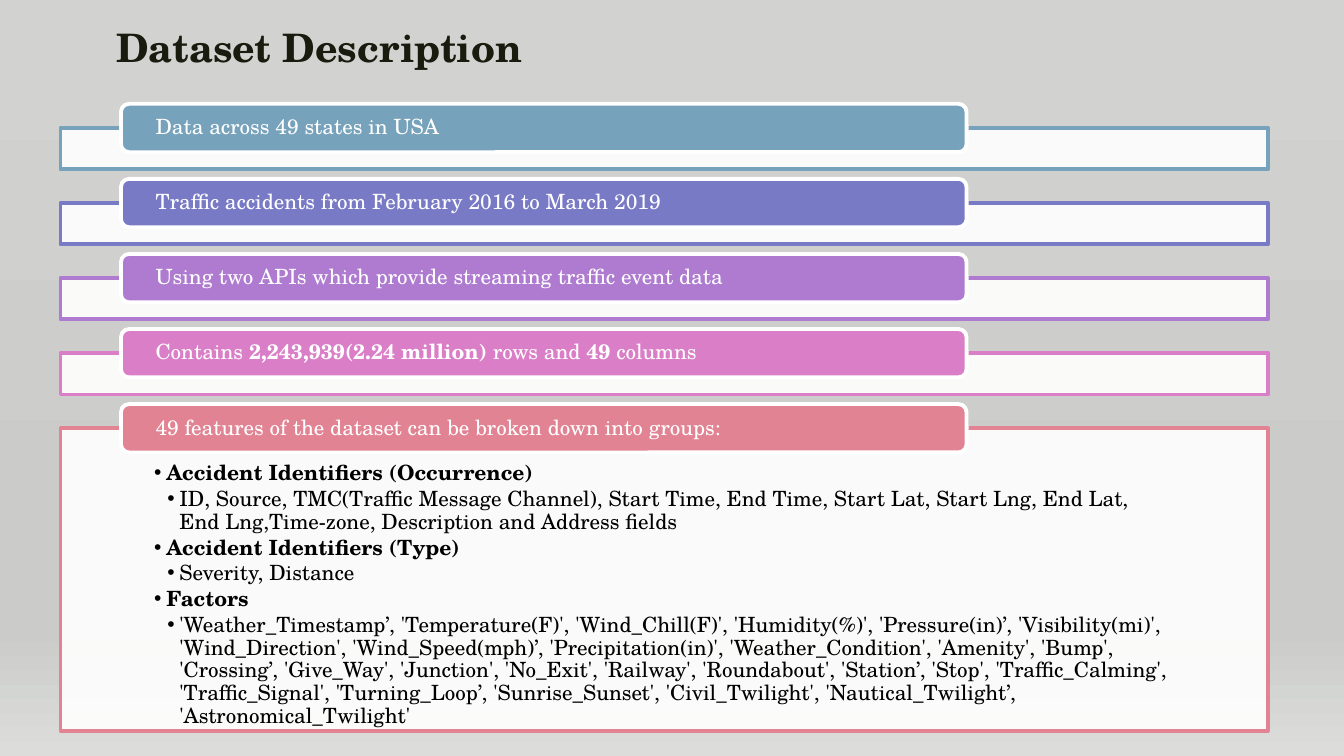
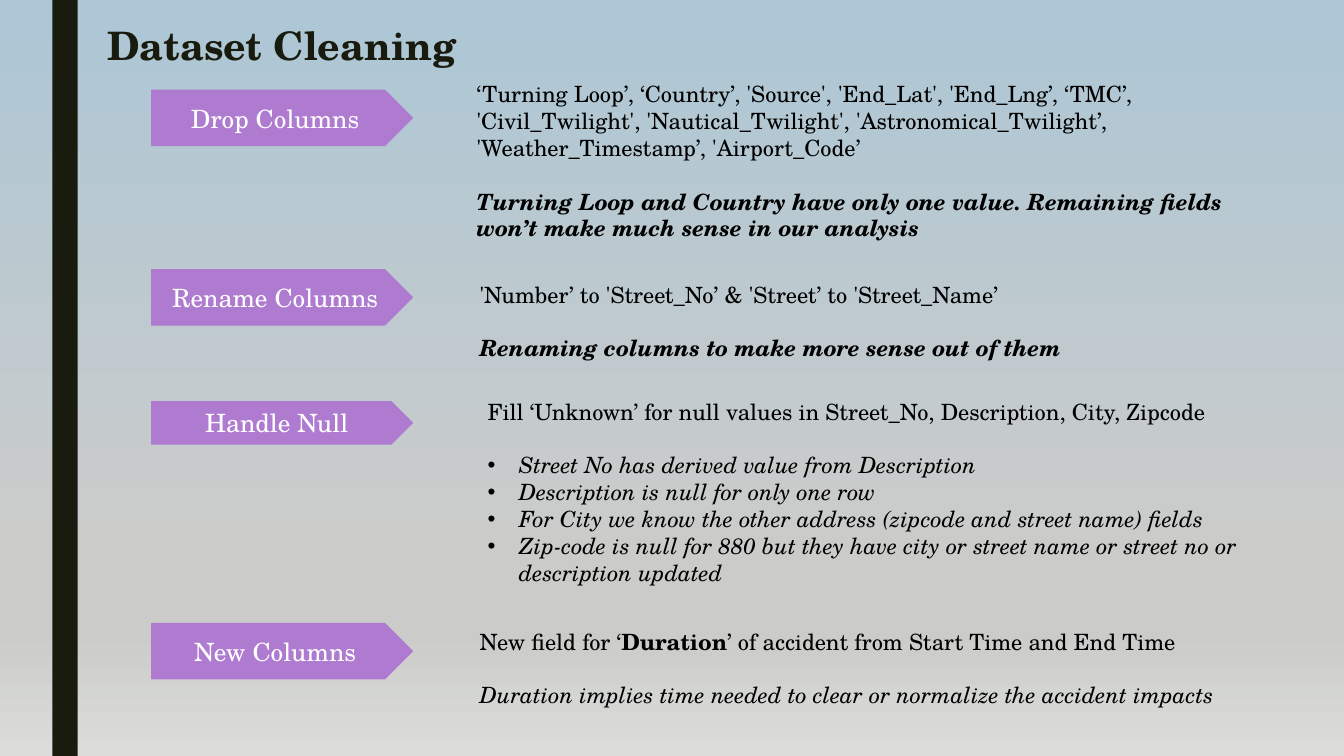
"""Build the two dataset slides: description and cleaning."""
from lxml import etree
from pptx import Presentation
from pptx import util as u
from pptx.dml.color import RGBColor
from pptx.enum import shapes, text
from pptx.oxml.ns import qn

rgb = RGBColor.from_string
FONT = "TeX Gyre Schola"
DARK, WHITE, BLACK, VIOLET = "191B0E", "FFFFFF", "000000", "AE7BD0"
LEFT, CENTER = text.PP_ALIGN.LEFT, text.PP_ALIGN.CENTER
TOP, MIDDLE = text.MSO_ANCHOR.TOP, text.MSO_ANCHOR.MIDDLE
KIND = shapes.MSO_SHAPE

deck = Presentation()
deck.slide_width, deck.slide_height = u.Inches(40 / 3), u.Inches(7.5)
column, row = deck.slide_width / 100, deck.slide_height / 100


def add_box(page, kind, area, fill, line=None):
    """Add a flat preset shape; area is in hundredths of the slide."""
    x, y, width, height = area
    box = page.shapes.add_shape(kind, int(x * column), int(y * row),
                                int(width * column), int(height * row))
    box.shadow.inherit = False
    box.fill.solid()
    box.fill.fore_color.rgb = rgb(fill)
    if line:
        box.line.color.rgb = rgb(line)
        box.line.width = u.Pt(2.75)
    else:
        box.line.fill.background()
    return box


def write(frame, paras, size, color, align=LEFT, anchor=TOP, insets=None):
    """Fill a frame with (spans, layout) paragraphs; a span is (words, style)."""
    settings = {"word_wrap": True, "vertical_anchor": anchor, "auto_size": text.MSO_AUTO_SIZE.NONE}
    if insets:
        sides = ("margin_left", "margin_top", "margin_right", "margin_bottom")
        settings.update(zip(sides, map(u.Inches, insets)))
    for name, value in settings.items():
        setattr(frame, name, value)
    for index, (spans, layout) in enumerate(paras):
        para = frame.add_paragraph() if index else frame.paragraphs[0]
        para.alignment = align
        layout = dict(layout)
        indent = layout.pop("bullet", None)
        if indent:
            margin, hang = indent
            properties = para._p.get_or_add_pPr()
            properties.set("marL", str(u.Inches(margin)))
            properties.set("indent", str(-u.Inches(hang)))
            etree.SubElement(properties, qn("a:buFont"), typeface="Arial")
            etree.SubElement(properties, qn("a:buChar"), char="•")
        for name, value in layout.items():
            setattr(para, name, value)
        for words, style in spans:
            span = para.add_run()
            span.text = words
            looks = {"name": FONT, "size": u.Pt(size), "bold": "b" in style, "italic": "i" in style}
            for name, value in looks.items():
                setattr(span.font, name, value)
            span.font.color.rgb = rgb(color)


pages = []
for heading, sky, x, y in (("Dataset Description", "D2D3D0", 3.83, 2.93),
                           ("Dataset Cleaning", "ADC7D6", 1.05, 2.67)):
    page = deck.slides.add_slide(deck.slide_layouts[5])
    pages.append(page)
    backdrop = page.background.fill
    backdrop.gradient()
    backdrop.gradient_angle = 270
    stops = next(page._element.iter(qn("a:gsLst")))
    for stop in list(stops):
        stops.remove(stop)
    for share, color in ((0, sky), (74, "CBCCC9"), (83, "CBCCC9"), (100, "DCDDDB")):
        stop = etree.SubElement(stops, qn("a:gs"), pos=str(share * 1000))
        etree.SubElement(stop, qn("a:srgbClr"), val=color)
    title = page.shapes.title
    title.left, title.top = int(x * column), int(y * row)
    title.width, title.height = int(39.83 * column), int(7.47 * row)
    write(title.text_frame, [([(heading, "b")], {"line_spacing": 0.89})], 28, DARK, CENTER, MIDDLE)
description, cleaning = pages

tight = {"line_spacing": 0.9}
facts = [
    ("77A2BB", [("Data across 49 states in USA", "")]),
    ("797AC6", [("Traffic accidents from February 2016 to March 2019", "")]),
    (VIOLET, [("Using two APIs which provide streaming traffic event data", "")]),
    ("DA7FC7", [("Contains ", ""), ("2,243,939(2.24 million)", "b"), (" rows and ", ""),
                ("49", "b"), (" columns", "")]),
    ("E28394", [("49 features of the dataset can be broken down into groups:", "")]),
]
groups = [
    ("Accident Identifiers (Occurrence)",
     "ID, Source, TMC(Traffic Message Channel), Start Time, End Time, Start Lat, Start Lng, "
     "End Lat, End Lng,Time-zone, Description and Address fields"),
    ("Accident Identifiers (Type)", "Severity, Distance"),
    ("Factors",
     "'Weather_Timestamp’, 'Temperature(F)', 'Wind_Chill(F)', 'Humidity(%)', 'Pressure(in)’, "
     "'Visibility(mi)', 'Wind_Direction', 'Wind_Speed(mph)’, 'Precipitation(in)', "
     "'Weather_Condition', 'Amenity', 'Bump', 'Crossing’, 'Give_Way', 'Junction', 'No_Exit', "
     "'Railway', 'Roundabout', 'Station’, 'Stop', 'Traffic_Calming', 'Traffic_Signal', "
     "'Turning_Loop’, 'Sunrise_Sunset', 'Civil_Twilight', 'Nautical_Twilight’, "
     "'Astronomical_Twilight'"),
]
features = []
for name, fields in groups:
    for words, style, margin in ((name, "b", 0.12), (fields, "", 0.25)):
        features.append(([(words, style)],
                         {**tight, "space_after": u.Pt(2.25), "bullet": (margin, 0.12)}))

for index, (color, spans) in enumerate(facts):
    top = 13.73 + 9.93 * index
    last = index == len(facts) - 1
    panel = add_box(description, KIND.RECTANGLE, (4.5, top + 3.2, 89.85, 40 if last else 5.47),
                    WHITE, color)
    tint = panel._element.spPr.find(qn("a:solidFill"))[0]
    etree.SubElement(tint, qn("a:alpha"), val="90000")
    if last:
        write(panel.text_frame, features, 15, BLACK, insets=(0.93, 0.34, 0.93, 0.12))
    tab = add_box(description, KIND.ROUNDED_RECTANGLE, (9, top, 62.92, 6.4), color, WHITE)
    write(tab.text_frame, [(spans, tight)], 15, WHITE, LEFT, MIDDLE, (0.32, 0, 0.32, 0))

add_box(cleaning, KIND.RECTANGLE, (3.9, 0, 1.88, 100), DARK)
gap = {"space_before": u.Pt(19)}
bullet = {"bullet": (0.31, 0.31)}
steps = [
    ("Drop Columns", 11.87, 7.47, (34.73, 10, 61.73, 22.93), [
        ([("‘Turning Loop’, ‘Country’, 'Source', 'End_Lat', 'End_Lng’, ‘TMC’, 'Civil_Twilight', "
           "'Nautical_Twilight', 'Astronomical_Twilight’, 'Weather_Timestamp’, 'Airport_Code’", "")], {}),
        ([("Turning Loop and Country have only one value. Remaining fields won’t make much sense "
           "in our analysis", "bi")], gap)]),
    ("Rename Columns", 35.6, 7.47, (34.95, 36.53, 61.58, 12.13), [
        ([("'Number’ to 'Street_No’ & 'Street’ to 'Street_Name’", "")], {}),
        ([("Renaming columns to make more sense out of them", "bi")], gap)]),
    ("Handle Null", 53.07, 5.73, (35.55, 52, 60.9, 26.53), [
        ([("Fill ‘Unknown’ for null values in Street_No, Description, City, Zipcode", "")], {}),
        ([("Street No has derived value from Description", "i")], {**gap, **bullet}),
        ([("Description is null for only one row", "i")], bullet),
        ([("For City we know the other address (zipcode and street name) fields", "i")], bullet),
        ([("Zip-code is null for 880 but they have city or street name or street no or "
           "description updated", "i")], bullet)]),
    ("New Columns", 82.4, 7.47, (34.95, 82.4, 61.58, 15.73), [
        ([("New field for ‘", ""), ("Duration", "b"),
          ("’ of accident from Start Time and End Time", "")], {}),
        ([("Duration implies time needed to clear or normalize the accident impacts", "i")], gap)]),
]
for label, top, height, (x, y, width, depth), notes in steps:
    arrow = add_box(cleaning, KIND.PENTAGON, (11.25, top, 19.5, height), VIOLET)
    write(arrow.text_frame, [([(label, "")], {})], 18, WHITE, CENTER, MIDDLE)
    detail = cleaning.shapes.add_textbox(int(x * column), int(y * row),
                                         int(width * column), int(depth * row))
    write(detail.text_frame, notes, 16, BLACK)

deck.save("out.pptx")
